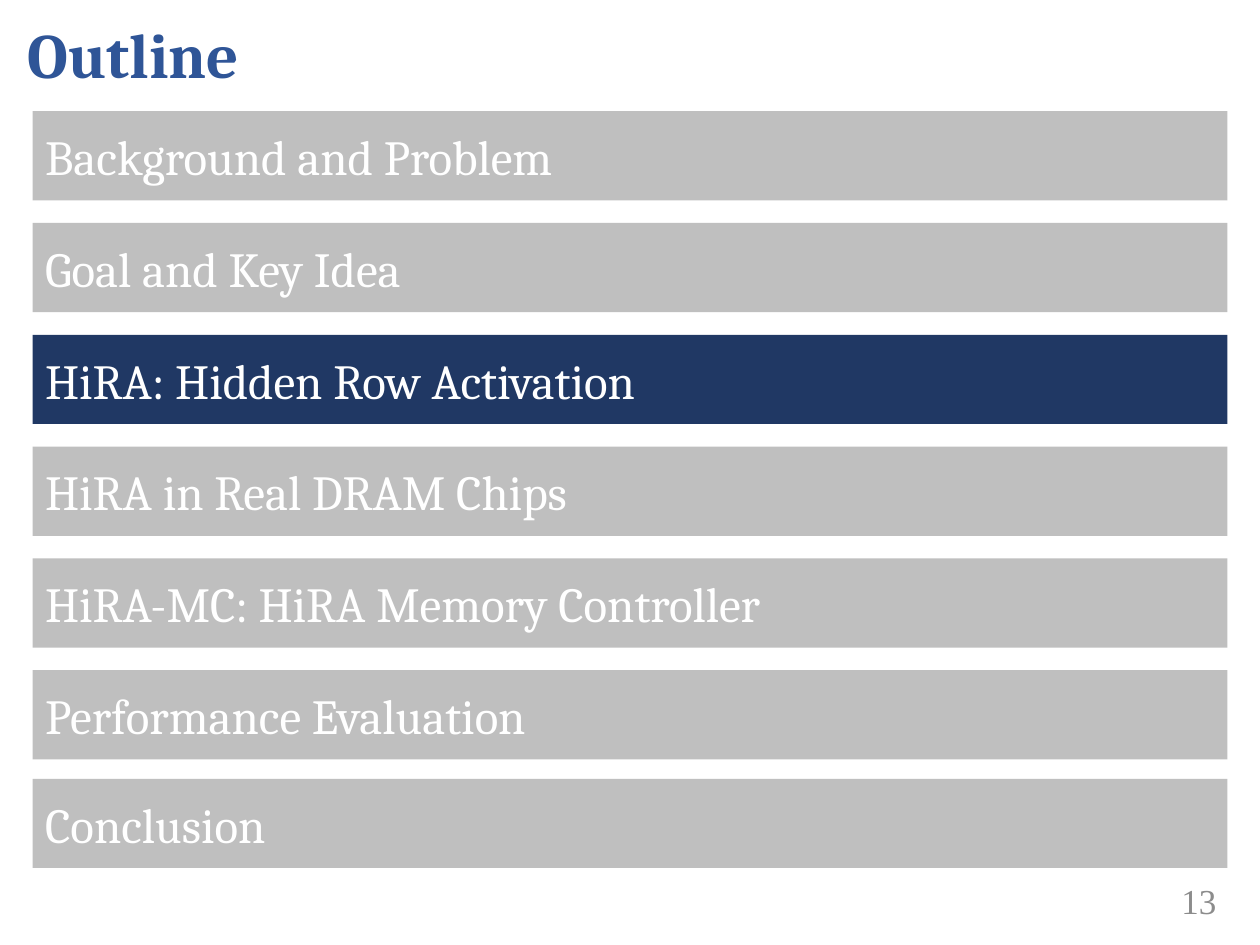
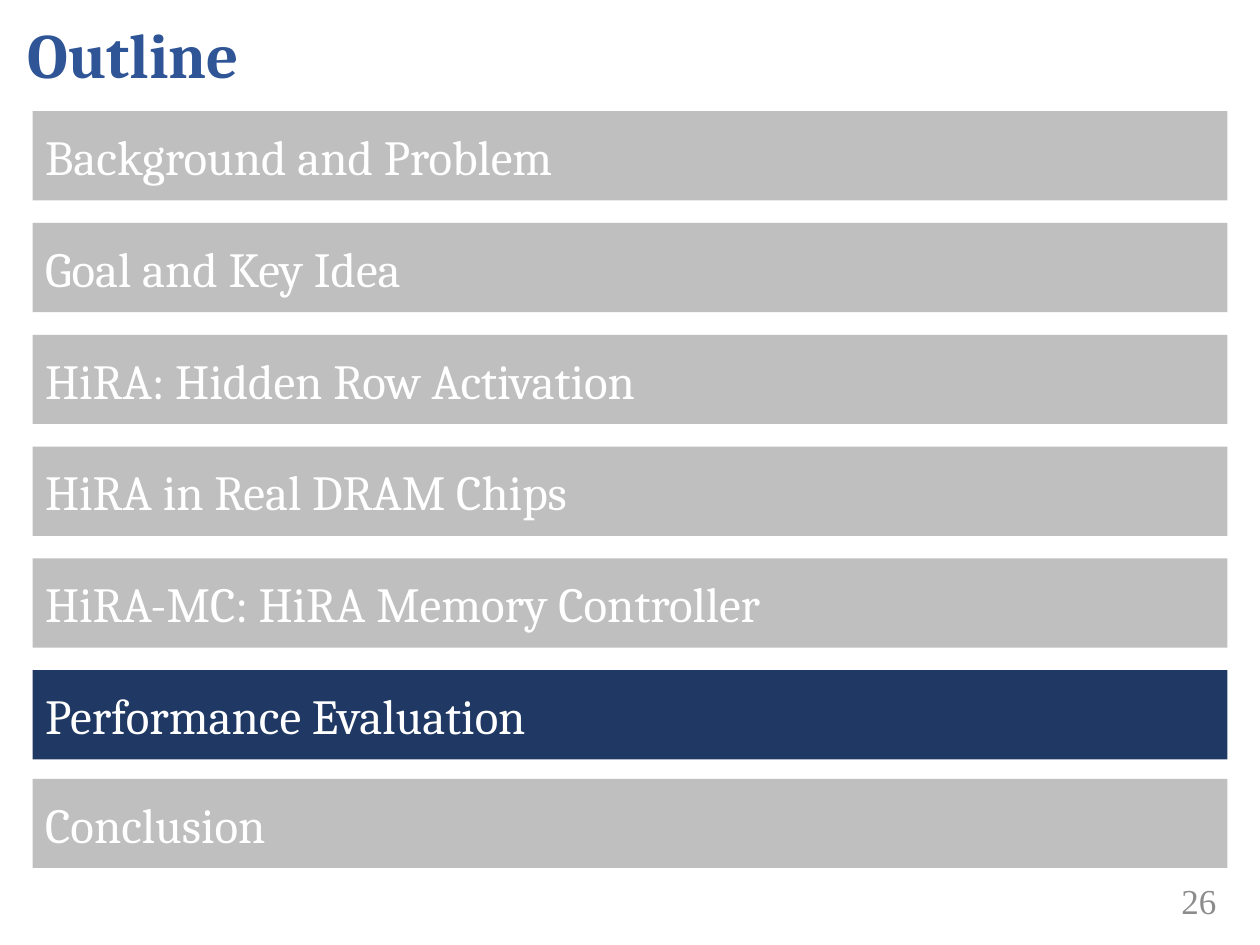
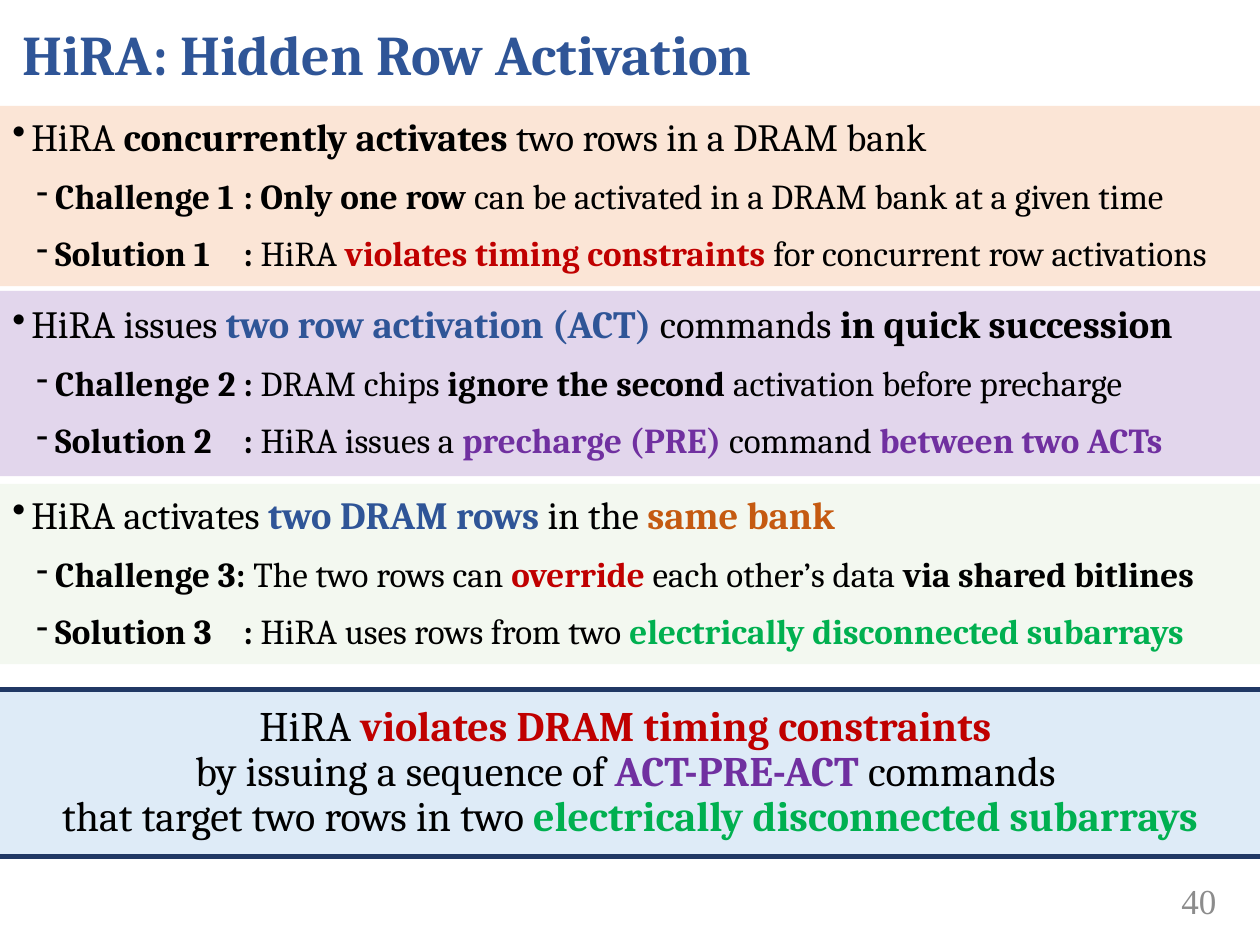
from lxml.etree import SubElement
from pptx import Presentation
from pptx.dml.color import RGBColor
from pptx.enum.shapes import MSO_CONNECTOR, MSO_SHAPE
from pptx.enum.text import MSO_ANCHOR, PP_ALIGN
from pptx.oxml.ns import qn
from pptx.util import Pt

BLACK, WHITE, GRAY = "000000", "FFFFFF", "8C8C8C"
BLUE, NAVY, BAND_GRAY = "2F5597", "203864", "BFBFBF"
RED, PURPLE, ORANGE, GREEN = "C00000", "7030A0", "C55A11", "00B050"


def color(hex_string):
    return RGBColor.from_string(hex_string)


def add_box(slide, position, paragraphs, fill=None):
    left, top, width, height = [Pt(length) for length in position]
    if fill:
        shape = slide.shapes.add_shape(MSO_SHAPE.RECTANGLE, left, top, width, height)
        shape.shadow.inherit = False
        shape.fill.solid()
        shape.fill.fore_color.rgb = color(fill)
        shape.line.fill.background()
    else:
        shape = slide.shapes.add_textbox(left, top, width, height)
    frame = shape.text_frame
    frame.word_wrap = True
    frame.vertical_anchor = MSO_ANCHOR.MIDDLE
    for index, (runs, paragraph_format, font_format) in enumerate(paragraphs):
        paragraph = frame.add_paragraph() if index else frame.paragraphs[0]
        for name, value in {"alignment": PP_ALIGN.LEFT, **paragraph_format}.items():
            setattr(paragraph, name, value)
        for text, text_color, bold in runs:
            if text == "\n":
                paragraph.add_line_break()
                continue
            run = paragraph.add_run()
            run.text = text
            for name, value in {"name": "Cambria", "bold": bold, **font_format}.items():
                setattr(run.font, name, value)
            run.font.color.rgb = color(text_color)
    return shape


presentation = Presentation()
presentation.slide_width = Pt(720)
presentation.slide_height = Pt(540)

pages = [
    ("Outline", 8.64, 36, "13"),
    ("Outline", 8.64, 36, "26"),
    ("HiRA: Hidden Row Activation", 5.76, 32, "40"),
]
slides = []
for title, title_left, title_size, page_number in pages:
    slide = presentation.slides.add_slide(presentation.slide_layouts[6])
    add_box(slide, (title_left, 0, 700, 60.5),
            [([(title, BLUE, True)], {}, {"size": Pt(title_size)})])
    add_box(slide, (624.2, 500.4, 78, 28.8),
            [([(page_number, GRAY, False)], {"alignment": PP_ALIGN.RIGHT},
              {"size": Pt(20), "name": "Times New Roman"})])
    slides.append(slide)

topics = [
    "Background and Problem",
    "Goal and Key Idea",
    "HiRA: Hidden Row Activation",
    "HiRA in Real DRAM Chips",
    "HiRA-MC: HiRA Memory Controller",
    "Performance Evaluation",
    "Conclusion",
]
topic_tops = [63.5 + 63.9 * row for row in range(6)] + [445]
for slide, current_topic in zip(slides, ["HiRA: Hidden Row Activation", "Performance Evaluation"]):
    for topic, top in zip(topics, topic_tops):
        add_box(slide, (18.7, top, 682.6, 51),
                [([(topic, WHITE, False)], {}, {"size": Pt(28)})],
                NAVY if topic == current_topic else BAND_GRAY)

recap_slide = slides[2]
recap_sections = [
    (60.5, 103, "FBE5D6", [
        [("HiRA ", BLACK, False), ("concurrently activates ", BLACK, True),
         ("two rows in a DRAM bank", BLACK, False)],
        [("Challenge 1\t: Only one row ", BLACK, True),
         ("can be activated in a DRAM bank at a given time", BLACK, False)],
        [("Solution 1\t: ", BLACK, True), ("HiRA ", BLACK, False),
         ("violates timing constraints ", RED, True),
         ("for concurrent row activations", BLACK, False)],
    ]),
    (166.3, 105.8, "E2D6EC", [
        [("HiRA issues ", BLACK, False), ("two row activation (ACT) ", BLUE, True),
         ("commands ", BLACK, False), ("in quick succession", BLACK, True)],
        [("Challenge 2\t:", BLACK, True), (" DRAM chips ", BLACK, False),
         ("ignore the second ", BLACK, True), ("activation before precharge", BLACK, False)],
        [("Solution 2\t:", BLACK, True), (" HiRA issues a ", BLACK, False),
         ("precharge (PRE) ", PURPLE, True), ("command ", BLACK, False),
         ("between two ACTs", PURPLE, True)],
    ]),
    (276.5, 103, "C5E0B4", [
        [("HiRA activates ", BLACK, False), ("two DRAM rows ", BLUE, True),
         ("in the ", BLACK, False), ("same bank", ORANGE, True)],
        [("Challenge 3: ", BLACK, True), ("The two rows can ", BLACK, False),
         ("override", RED, True), (" each other’s data ", BLACK, False),
         ("via shared bitlines", BLACK, True)],
        [("Solution 3\t: ", BLACK, True), ("HiRA uses rows from two ", BLACK, False),
         ("electrically disconnected subarrays", GREEN, True)],
    ]),
]
spacing = {"line_spacing": 0.9, "space_after": Pt(6)}
detail_format = {**spacing, "level": 1, "space_before": Pt(5)}
for top, height, fill, (point, challenge, solution) in recap_sections:
    section = add_box(recap_slide, (0, top, 720, height), [
        (point, spacing, {"size": Pt(22)}),
        (challenge, detail_format, {"size": Pt(20)}),
        (solution, detail_format, {"size": Pt(20)}),
    ], fill)
    for paragraph in section.text_frame.paragraphs:
        properties = paragraph._p.get_or_add_pPr()
        properties.set("marL", str(Pt(24.5 if paragraph.level else 10.8)))
        properties.set("indent", str(Pt(-10.8)))
        SubElement(properties, qn("a:buChar"), char="-" if paragraph.level else "•")
        tabs = SubElement(properties, qn("a:tabLst"))
        SubElement(tabs, qn("a:tab"), pos=str(Pt(131.8)), algn="l")
    if fill == "C5E0B4":
        fill_color = section.fill._xPr.find(qn("a:solidFill"))[0]
        SubElement(fill_color, qn("a:alpha"), val="20000")

summary = [
    ("HiRA ", BLACK, False), ("violates DRAM timing constraints ", RED, True),
    ("\n", BLACK, False),
    ("by issuing a sequence of ", BLACK, False), ("ACT-PRE-ACT", PURPLE, True),
    (" commands ", BLACK, False),
    ("\n", BLACK, False),
    ("that target two rows in two ", BLACK, False),
    ("electrically disconnected subarrays", GREEN, True),
]
add_box(recap_slide, (0, 393.8, 720, 95.8),
        [(summary, {"alignment": PP_ALIGN.CENTER, "line_spacing": 0.9}, {"size": Pt(24)})],
        "DEEBF7")
for top in (393.8, 489.6):
    border = recap_slide.shapes.add_connector(
        MSO_CONNECTOR.STRAIGHT, Pt(0), Pt(top), Pt(720), Pt(top))
    border.line.color.rgb = color(NAVY)
    border.line.width = Pt(3)
    SubElement(border._element.spPr, qn("a:effectLst"))

presentation.save("out.pptx")
